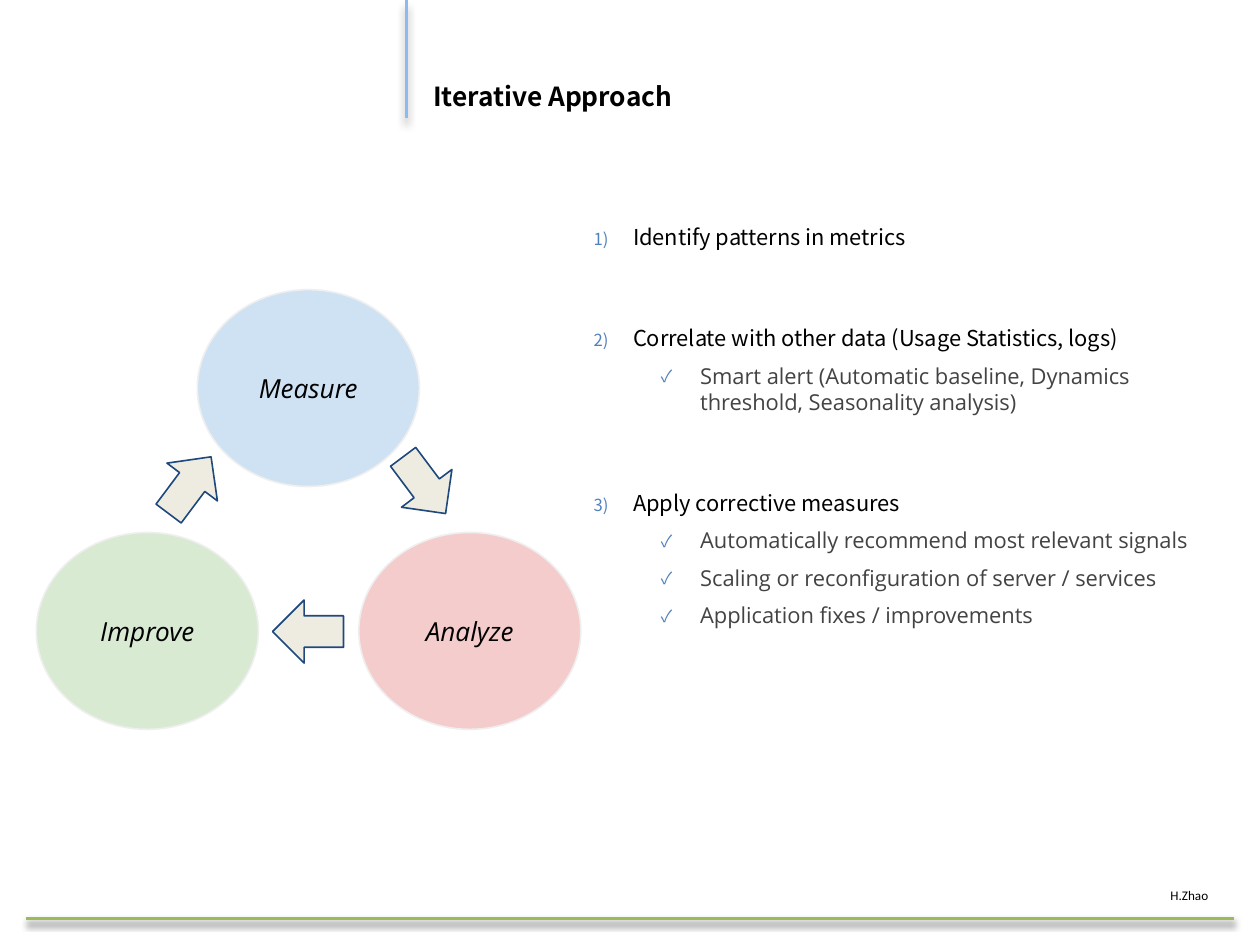
from lxml.etree import SubElement
from pptx import Presentation
from pptx.dml.color import RGBColor
from pptx.enum.shapes import MSO_CONNECTOR, MSO_SHAPE
from pptx.enum.text import MSO_ANCHOR, PP_ALIGN
from pptx.oxml.ns import qn
from pptx.util import Pt

HEAD_FONT, BODY_FONT = "Noto Sans CJK SC", "Open Sans"

# Steps of the cycle: name, fill, left, top
STEPS = [
    ("Measure", "CFE2F3", 90.2, 132.4),
    ("Improve", "D9EAD3", 16.6, 243.4),
    ("Analyze", "F4CCCC", 164, 243.4),
]
# Arrows between the steps: left, top, rotation
ARROWS = [(177.8, 207.4, 53.2), (124.6, 274.3, 180), (70.6, 207.4, -53.2)]

ACTIONS = [
    ("Identify patterns in metrics", []),
    ("Correlate with other data (Usage Statistics, logs)", [
        "Smart alert (Automatic baseline, Dynamics threshold, Seasonality analysis)",
    ]),
    ("Apply corrective measures", [
        "Automatically recommend most relevant signals",
        "Scaling or reconfiguration of server / services",
        "Application fixes / improvements",
    ]),
]


def rgb(hex_color):
    return RGBColor.from_string(hex_color)


def format_runs(p, size, font, color="000000", bold=False, italic=False):
    for r in p.runs:
        r.font.size, r.font.name = Pt(size), font
        r.font.bold, r.font.italic = bold, italic
        r.font.color.rgb = rgb(color)


def add_rule(slide, x1, y1, x2, y2, color, width, blur, dist):
    """Straight line with a soft shadow below it."""
    line = slide.shapes.add_connector(
        MSO_CONNECTOR.STRAIGHT, Pt(x1), Pt(y1), Pt(x2), Pt(y2))
    line.line.color.rgb = rgb(color)
    line.line.width = Pt(width)
    effects = SubElement(line._element.spPr, qn("a:effectLst"))
    shadow = SubElement(effects, qn("a:outerShdw"), blurRad=str(Pt(blur)),
                        dist=str(Pt(dist)), dir="5400000", rotWithShape="0")
    black = SubElement(shadow, qn("a:srgbClr"), val="000000")
    SubElement(black, qn("a:alpha"), val="40000")


def add_text_box(slide, left, top, width, height, margins, wrap=True):
    tf = slide.shapes.add_textbox(Pt(left), Pt(top), Pt(width), Pt(height)).text_frame
    tf.word_wrap = wrap
    tf.margin_left = tf.margin_right = Pt(margins[0])
    tf.margin_top = tf.margin_bottom = Pt(margins[1])
    return tf


def add_label(slide, text, box, margins, size, font, bold=False,
              anchor=MSO_ANCHOR.TOP, wrap=True):
    tf = add_text_box(slide, *box, margins, wrap)
    tf.vertical_anchor = anchor
    tf.text = text
    format_runs(tf.paragraphs[0], size, font, bold=bold)


def add_figure(slide, kind, left, top, width, height, fill, line):
    sp = slide.shapes.add_shape(kind, Pt(left), Pt(top), Pt(width), Pt(height))
    sp.shadow.inherit = False
    sp.fill.solid()
    sp.fill.fore_color.rgb = rgb(fill)
    sp.line.color.rgb = rgb(line)
    sp.line.width = Pt(0.75)
    return sp


def add_step(slide, name, fill, left, top):
    sp = add_figure(slide, MSO_SHAPE.OVAL, left, top, 101.5, 90, fill, "EFEFEF")
    tf = sp.text_frame
    tf.vertical_anchor = MSO_ANCHOR.MIDDLE
    tf.text = name
    p = tf.paragraphs[0]
    p.alignment = PP_ALIGN.CENTER
    format_runs(p, 12, BODY_FONT, italic=True)


def add_arrow(slide, left, top, rotation):
    sp = add_figure(slide, MSO_SHAPE.RIGHT_ARROW, left, top, 32.4, 28.8,
                    "EEECE1", "1F497D")
    sp.rotation = rotation


def set_bullet(p, indent, tag, **attributes):
    pPr = p._p.get_or_add_pPr()
    pPr.set("marL", str(Pt(indent)))
    pPr.set("indent", str(Pt(-18)))
    color = SubElement(pPr, qn("a:buClr"))
    SubElement(color, qn("a:srgbClr"), val="4F81BD")
    SubElement(pPr, qn("a:buSzPct"), val="76000")
    SubElement(pPr, qn("a:buFont"), typeface=HEAD_FONT)
    SubElement(pPr, qn(tag), **attributes)


def add_item(tf, text, level, space_before):
    p = tf.paragraphs[0] if not tf.text else tf.add_paragraph()
    p.text = text
    p.level = level
    p.line_spacing = Pt(12)
    p.space_before = Pt(space_before)
    if level == 0:
        set_bullet(p, 18, "a:buAutoNum", type="arabicParenR")
        format_runs(p, 10, HEAD_FONT)
    else:
        set_bullet(p, 48.7, "a:buChar", char="✓")
        format_runs(p, 10, BODY_FONT, "434343")


def add_actions(slide, actions):
    tf = add_text_box(slide, 264.3, 102.4, 300, 192, (7.2, 0))
    for i, (action, details) in enumerate(actions):
        add_item(tf, action, 0, 34.2 if i else 0)
        for detail in details:
            add_item(tf, detail, 1, 5.1)


def main():
    prs = Presentation()
    prs.slide_width, prs.slide_height = Pt(576), Pt(432)
    slide = prs.slides.add_slide(prs.slide_layouts[6])

    # Frame: rules, author and title
    add_rule(slide, 12, 420, 564, 420, "9BBB59", 1.5, 3, 2)
    add_rule(slide, 186, 0, 186, 54, "8DBBEF", 1.25, 4, 3.4)
    add_label(slide, "H.Zhao", (528, 402, 36, 14.4), (7.2, 3.6), 6, "Calibri",
              wrap=False)
    add_label(slide, "Iterative Approach", (192, 6, 372, 48), (6, 3), 12,
              HEAD_FONT, bold=True, anchor=MSO_ANCHOR.BOTTOM)

    # Cycle
    for step in STEPS:
        add_step(slide, *step)
    for arrow in ARROWS:
        add_arrow(slide, *arrow)

    # Numbered actions
    add_actions(slide, ACTIONS)

    prs.save("out.pptx")


if __name__ == "__main__":
    main()
